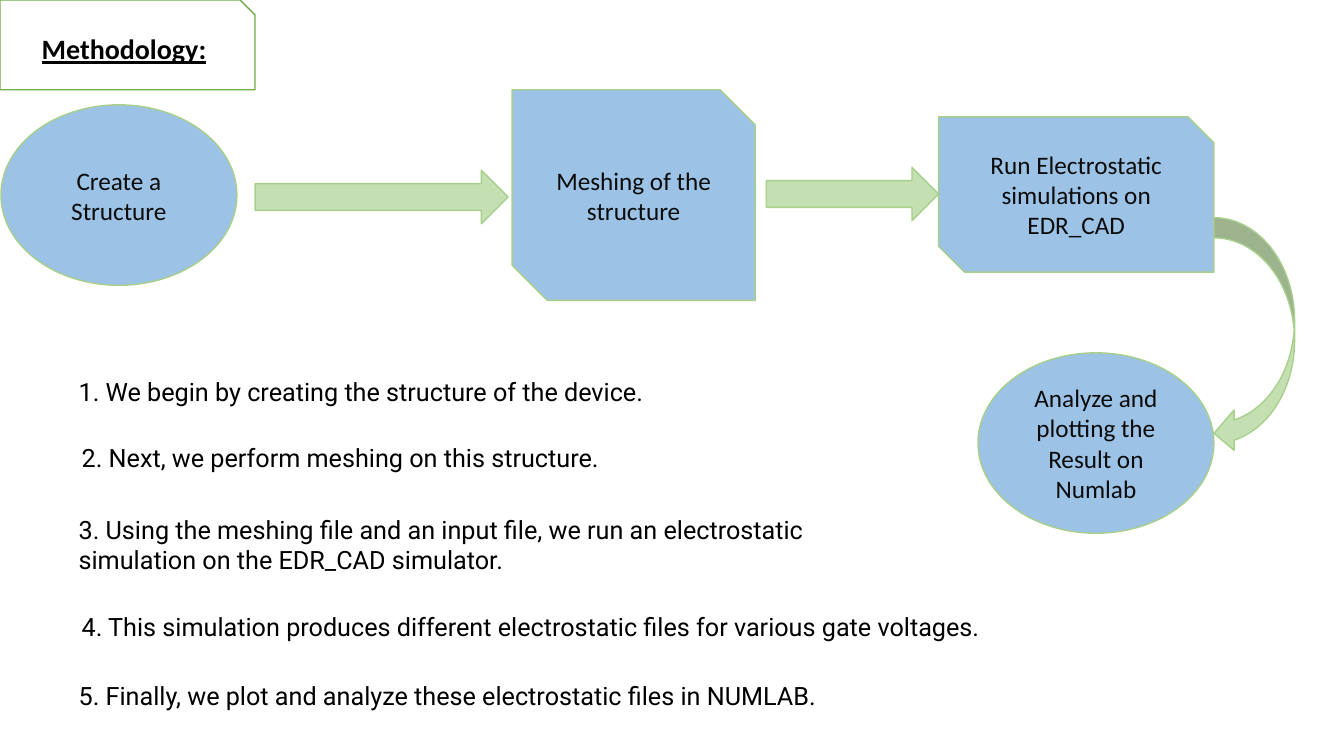
from pptx import Presentation
from pptx.dml.color import RGBColor
from pptx.enum.shapes import MSO_SHAPE
from pptx.enum.text import MSO_ANCHOR, MSO_AUTO_SIZE, PP_ALIGN
from pptx.oxml.ns import qn
from pptx.util import Inches, Pt
from lxml.etree import SubElement


def color(hex_string):
    return RGBColor.from_string(hex_string)


class FlowSlide:
    NODE_FILL, ARROW_FILL, EDGE = "9CC2E5", "C4E0B2", "A8D08C"
    NODE_TEXT, BLACK, WHITE, TITLE_EDGE = "0C0C0C", "000000", "FFFFFF", "70AD47"
    TEXT_SIZE, TITLE_SIZE = 18, 20

    def __init__(self, presentation):
        self.slide = presentation.slides.add_slide(presentation.slide_layouts[1])

    def place(self, shape, box):
        shape.left, shape.top, shape.width, shape.height = map(Inches, box)

    def format_font(self, paragraph, name, size, text_color):
        for run in paragraph.runs:
            run.font.name = name
            run.font.size = Pt(size)
            run.font.color.rgb = color(text_color)

    def preset(self, kind, box, fill, line=EDGE):
        shape = self.slide.shapes.add_shape(kind, *map(Inches, box))
        shape.shadow.inherit = False
        shape.fill.solid()
        shape.fill.fore_color.rgb = color(fill)
        shape.line.color.rgb = color(line)
        shape.line.width = Pt(1)
        return shape

    def title(self, text, frame_box, text_box):
        self.preset(MSO_SHAPE.SNIP_1_RECTANGLE, frame_box, self.WHITE, self.TITLE_EDGE)
        shape = self.slide.shapes.title
        self.place(shape, text_box)
        # Bring the title in front of its frame
        self.slide.shapes._spTree.append(shape._element)
        frame = shape.text_frame
        frame.text = text
        frame.auto_size = MSO_AUTO_SIZE.NONE
        frame.vertical_anchor = MSO_ANCHOR.MIDDLE
        paragraph = frame.paragraphs[0]
        paragraph.alignment = PP_ALIGN.CENTER
        self.format_font(paragraph, "Calibri", self.TITLE_SIZE, self.BLACK)
        font = paragraph.runs[0].font
        font.bold = font.underline = True

    def node(self, kind, box, text):
        frame = self.preset(kind, box, self.NODE_FILL).text_frame
        frame.text = text
        frame.word_wrap = True
        frame.vertical_anchor = MSO_ANCHOR.MIDDLE
        for paragraph in frame.paragraphs:
            paragraph.alignment = PP_ALIGN.CENTER
            self.format_font(paragraph, "Calibri", self.TEXT_SIZE, self.NODE_TEXT)

    def arrow(self, kind, box):
        self.preset(kind, box, self.ARROW_FILL)

    def steps(self, items, box):
        body = self.slide.placeholders[1]
        self.place(body, box)
        frame = body.text_frame
        frame.text = "\n".join(text for text, _, _ in items)
        frame.auto_size = MSO_AUTO_SIZE.NONE
        frame.vertical_anchor = MSO_ANCHOR.TOP
        for paragraph, (_, space_before, indent) in zip(frame.paragraphs, items):
            properties = paragraph._p.get_or_add_pPr()
            properties.set("marL", str(Inches(indent)))
            properties.set("indent", "0")
            SubElement(properties, qn("a:buNone"))
            paragraph.alignment = PP_ALIGN.LEFT
            paragraph.line_spacing = 1.0
            paragraph.space_before = Pt(space_before)
            paragraph.space_after = Pt(0)
            self.format_font(paragraph, "Roboto", self.TEXT_SIZE, self.BLACK)


def main():
    presentation = Presentation()
    presentation.slide_width = Inches(13.33)
    presentation.slide_height = Inches(7.5)
    flow = FlowSlide(presentation)

    # Title in a frame with one snipped corner
    flow.title("Methodology:", (0, 0, 2.53, 0.89), (0, 0.07, 2.46, 0.82))

    # Stages of the process
    ellipse, snipped = MSO_SHAPE.OVAL, MSO_SHAPE.SNIP_2_DIAG_RECTANGLE
    for kind, box, text in (
        (ellipse, (0.01, 1.04, 2.34, 1.79), "Create a\nStructure"),
        (snipped, (5.08, 0.89, 2.41, 2.09), "Meshing of the\nstructure"),
        (snipped, (9.31, 1.16, 2.73, 1.54),
         "Run Electrostatic simulations on\nEDR_CAD"),
        (ellipse, (9.7, 3.5, 2.34, 1.79),
         "Analyze and plotting the Result on\nNumlab"),
    ):
        flow.node(kind, box, text)

    # Arrows between the stages
    flow.arrow(MSO_SHAPE.RIGHT_ARROW, (2.53, 1.69, 2.51, 0.53))
    flow.arrow(MSO_SHAPE.RIGHT_ARROW, (7.6, 1.66, 1.71, 0.53))
    flow.arrow(MSO_SHAPE.CURVED_LEFT_ARROW, (12.04, 2.16, 0.8, 2.34))

    # Explanation: text, space before in points, indent in inches
    flow.steps((
        ("1. We begin by creating the structure of the device.", 0, 0),
        ("2. Next, we perform meshing on this structure.", 26, 0.03),
        ("3. Using the meshing file and an input file, we run an electrostatic"
         "\vsimulation on the EDR_CAD simulator.", 29.5, 0),
        ("4. This simulation produces different electrostatic files for"
         " various gate voltages.", 26.5, 0.03),
        ("5. Finally, we plot and analyze these electrostatic files in NUMLAB.",
         27, 0),
    ), (0.68, 3.68, 9.2, 3.73))

    presentation.save("out.pptx")


if __name__ == "__main__":
    main()
